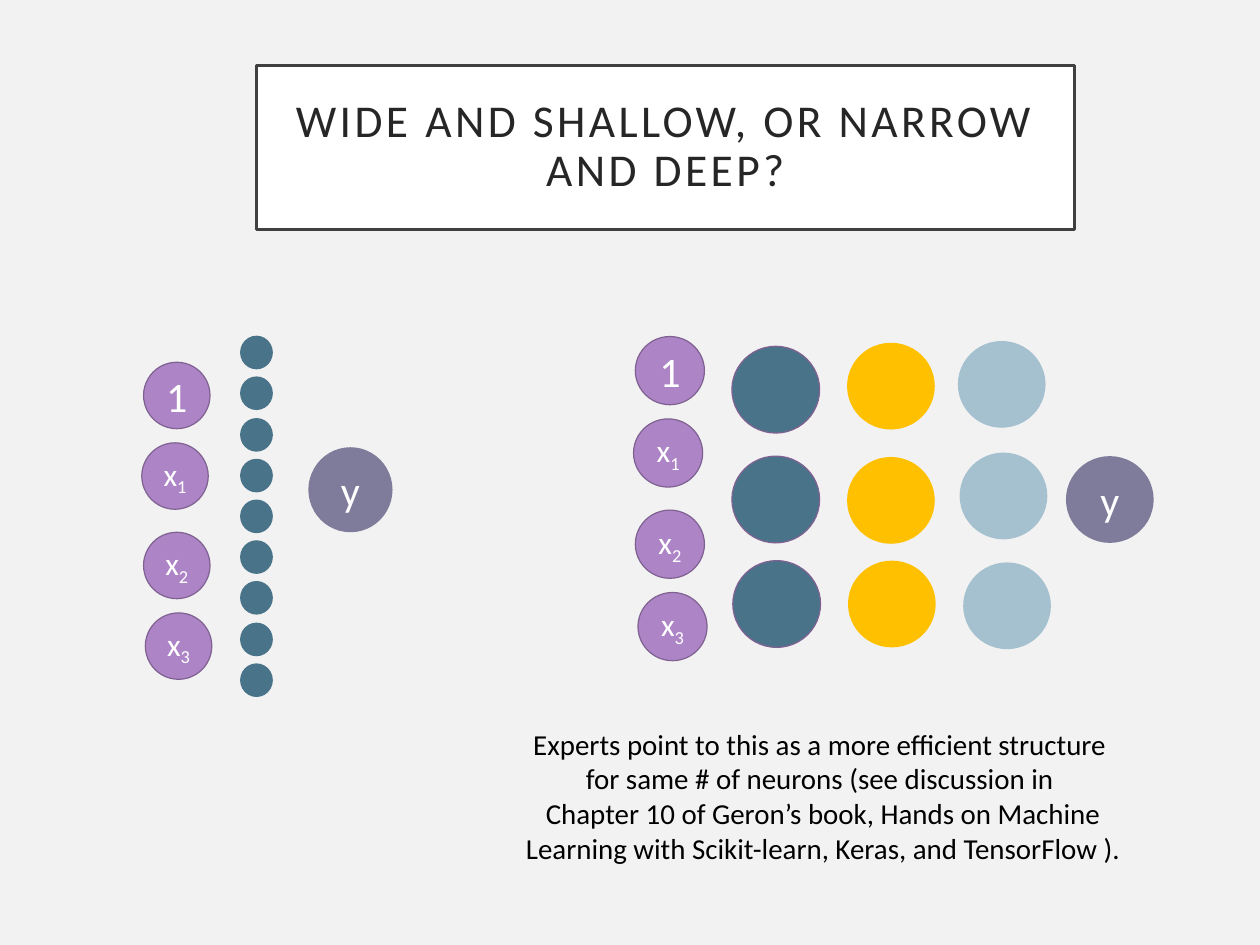
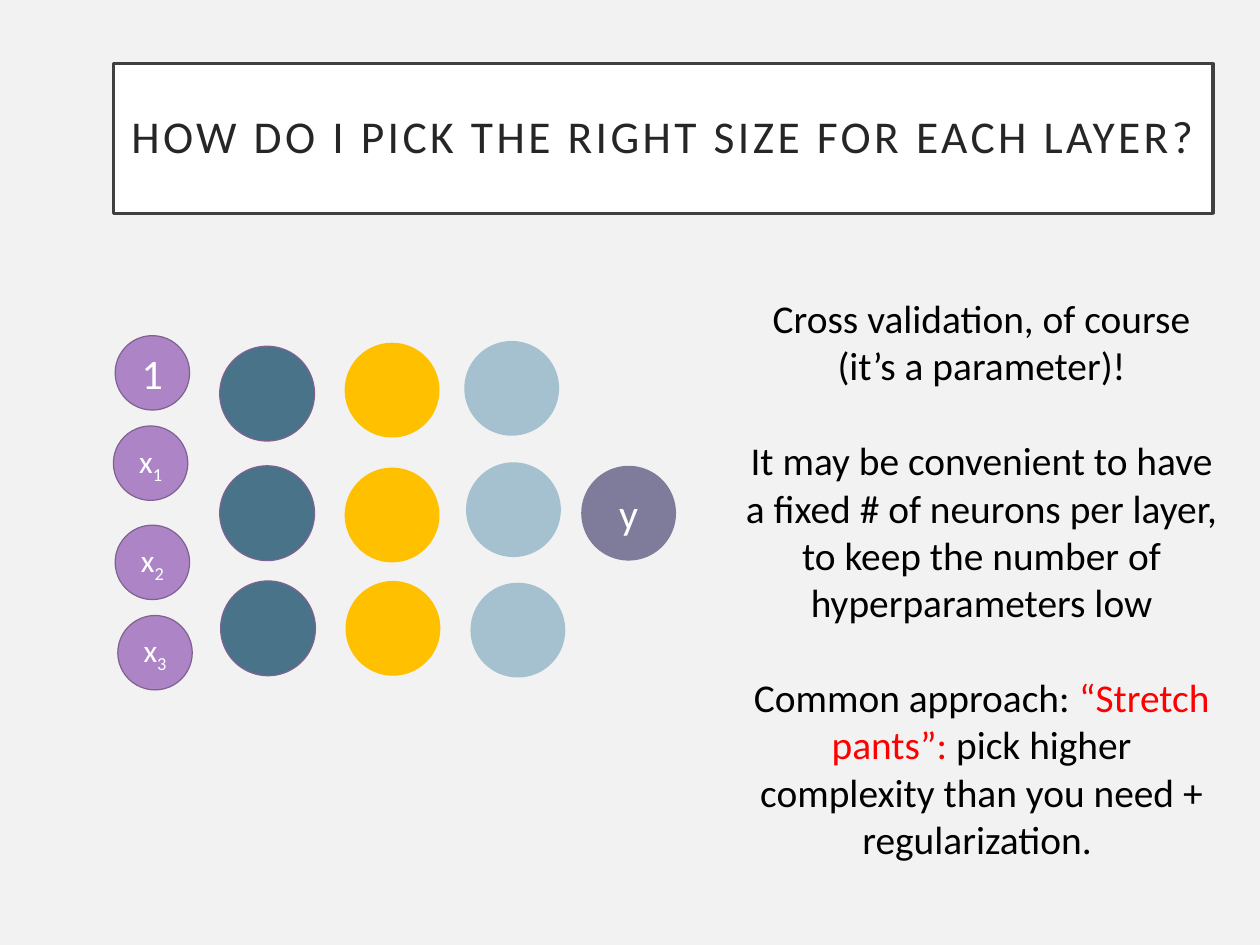
from dataclasses import dataclass
from typing import Optional

from pptx import Presentation
from pptx import util as u
from pptx.dml.color import RGBColor
from pptx.enum import shapes, text

EMU_PER_PX = 9144  # 100 px to the inch
FONT = "Calibri"

BACKGROUND, WHITE, BLACK, RED = "F2F2F2", "FFFFFF", "000000", "FF0000"
TITLE_TEXT, TITLE_LINE = "262626", "404040"
PURPLE, OUTLINE, TEAL = "AD84C6", "806292", "497389"
YELLOW, PALE_BLUE, SLATE = "FFC000", "A5C1CF", "7F7B9A"


@dataclass(frozen=True)
class Box:
    left: int
    top: int
    width: int
    height: int


@dataclass(frozen=True)
class Run:
    words: str
    color: str = BLACK
    subscript: bool = False


@dataclass(frozen=True)
class Neuron:
    box: Box
    fill: str
    outline: Optional[str] = None
    label: str = ""
    index: str = ""


def px(length: float) -> u.Emu:
    return u.Emu(round(length * EMU_PER_PX))


def rgb(color: str) -> RGBColor:
    return RGBColor.from_string(color)


def add_run(paragraph, run: Run, size: float):
    piece = paragraph.add_run()
    piece.text = run.words
    piece.font.name = FONT
    piece.font.size = u.Pt(size)
    piece.font.color.rgb = rgb(run.color)
    if run.subscript:
        piece.font._element.set("baseline", "-25000")
    return piece


def add_filled_shape(slide, kind, box: Box, fill: str,
                     outline: Optional[str] = None, line_width: float = 1):
    shape = slide.shapes.add_shape(
        kind, px(box.left), px(box.top), px(box.width), px(box.height))
    shape.shadow.inherit = False
    shape.fill.solid()
    shape.fill.fore_color.rgb = rgb(fill)
    if outline:
        shape.line.color.rgb = rgb(outline)
        shape.line.width = u.Pt(line_width)
    else:
        shape.line.fill.background()
    shape.text_frame.vertical_anchor = text.MSO_ANCHOR.MIDDLE
    shape.text_frame.paragraphs[0].alignment = text.PP_ALIGN.CENTER
    return shape


def add_title(slide, words: str, box: Box) -> None:
    shape = add_filled_shape(slide, shapes.MSO_SHAPE.RECTANGLE, box,
                             WHITE, TITLE_LINE, 2.5)
    frame = shape.text_frame
    frame.word_wrap = True
    frame.margin_left = frame.margin_right = px(20)
    frame.margin_top = frame.margin_bottom = px(20)
    paragraph = frame.paragraphs[0]
    paragraph.line_spacing = 0.9
    run = add_run(paragraph, Run(words, TITLE_TEXT), 37)
    run.font._element.set("spc", "280")


def add_neuron(slide, neuron: Neuron) -> None:
    shape = add_filled_shape(slide, shapes.MSO_SHAPE.OVAL, neuron.box,
                             neuron.fill, neuron.outline)
    if neuron.label:
        paragraph = shape.text_frame.paragraphs[0]
        size = 25.6 if neuron.index else 34.1
        add_run(paragraph, Run(neuron.label, WHITE), size)
        if neuron.index:
            add_run(paragraph, Run(neuron.index, WHITE, True), size)


def add_text(slide, box: Box, paragraphs: list[list[Run]], size: float,
             gap: float = 0) -> None:
    shape = slide.shapes.add_textbox(
        px(box.left), px(box.top), px(box.width), px(box.height))
    frame = shape.text_frame
    frame.word_wrap = True
    frame.auto_size = text.MSO_AUTO_SIZE.SHAPE_TO_FIT_TEXT
    for number, runs in enumerate(paragraphs):
        paragraph = frame.add_paragraph() if number else frame.paragraphs[0]
        paragraph.alignment = text.PP_ALIGN.CENTER
        if number and gap:
            paragraph.space_before = u.Pt(gap)
        for run in runs:
            add_run(paragraph, run, size)


def input_layer(places: list[tuple[int, int]], size: int) -> list[Neuron]:
    labels = [("1", ""), ("x", "1"), ("x", "2"), ("x", "3")]
    return [Neuron(Box(left, top, size, size), PURPLE, OUTLINE, *label)
            for (left, top), label in zip(places, labels)]


def deep_network() -> list[Neuron]:
    size = 107
    layers = [
        (TEAL, OUTLINE, [(248, 391), (248, 526), (249, 656)]),
        (YELLOW, None, [(389, 387), (389, 528), (390, 656)]),
        (PALE_BLUE, None, [(524, 385), (526, 522), (531, 658)]),
    ]
    neurons = input_layer([(130, 379), (128, 481), (130, 593), (133, 695)], 84)
    neurons += [Neuron(Box(left, top, size, size), fill, outline)
                for fill, outline, places in layers for left, top in places]
    return neurons + [Neuron(Box(656, 526, size, size), SLATE, label="y")]


def wide_network() -> list[Neuron]:
    first, last, count = 379, 749, 9
    step = (last - first) / (count - 1)
    neurons = input_layer([(162, 409), (160, 500), (162, 601), (164, 692)], 75)
    neurons += [Neuron(Box(271, round(first + row * step), 37, 38), TEAL)
                for row in range(count)]
    return neurons + [Neuron(Box(348, 505, 95, 96), SLATE, label="y")]


def shrink(neuron: Neuron) -> Neuron:
    """Fit the deep network into the right half of a slide."""
    across, down = 0.924, 0.915
    box = neuron.box
    fitted = Box(round(715 + (box.left - 128) * across),
                 round(380 + (box.top - 379) * down),
                 round(box.width * across), round(box.height * down))
    return Neuron(fitted, neuron.fill, neuron.outline, neuron.label, neuron.index)


def build_wide_or_deep(slide) -> None:
    add_title(slide, "WIDE AND SHALLOW, OR NARROW AND DEEP?",
              Box(289, 74, 924, 185))
    for neuron in wide_network() + [shrink(n) for n in deep_network()]:
        add_neuron(slide, neuron)
    add_text(slide, Box(548, 815, 762, 168), [
        [Run("Experts point to this as a more efficient structure ")],
        [Run("for same # of neurons (see discussion in ")],
        [Run("Chapter 10 of Geron’s book, Hands on Machine Learning with "
             "Scikit-learn, Keras, and TensorFlow ).")],
    ], 23.5)


def build_layer_size(slide) -> None:
    add_title(slide, "HOW DO I PICK THE RIGHT SIZE FOR EACH LAYER?",
              Box(128, 72, 1241, 169))
    for neuron in deep_network():
        add_neuron(slide, neuron)
    add_text(slide, Box(830, 327, 556, 656), [
        [Run("Cross validation, of course (it’s a parameter)!")],
        [Run("It may be convenient to have a fixed # of neurons per layer, "
             "to keep the number of hyperparameters low")],
        [Run("Common approach: "), Run("“Stretch pants”: ", RED),
         Run("pick higher complexity than you need + regularization. ")],
    ], 32, gap=39)


def main() -> None:
    presentation = Presentation()
    presentation.slide_width, presentation.slide_height = px(1422), px(1067)
    # Shared background
    background = presentation.slide_master.background.fill
    background.solid()
    background.fore_color.rgb = rgb(BACKGROUND)
    # Slides
    blank = presentation.slide_layouts[6]
    for build in (build_wide_or_deep, build_layer_size):
        build(presentation.slides.add_slide(blank))
    presentation.save("out.pptx")


if __name__ == "__main__":
    main()
